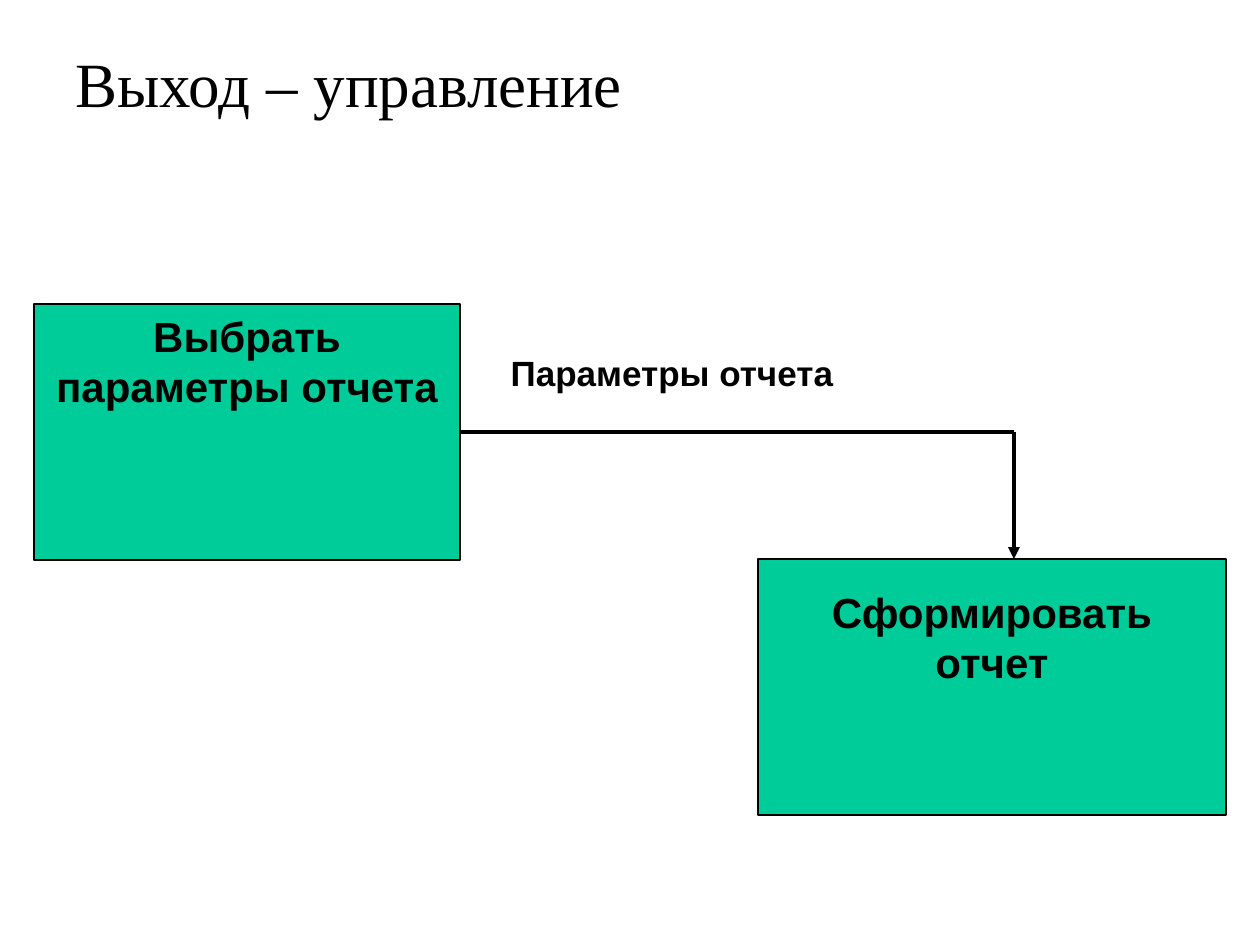
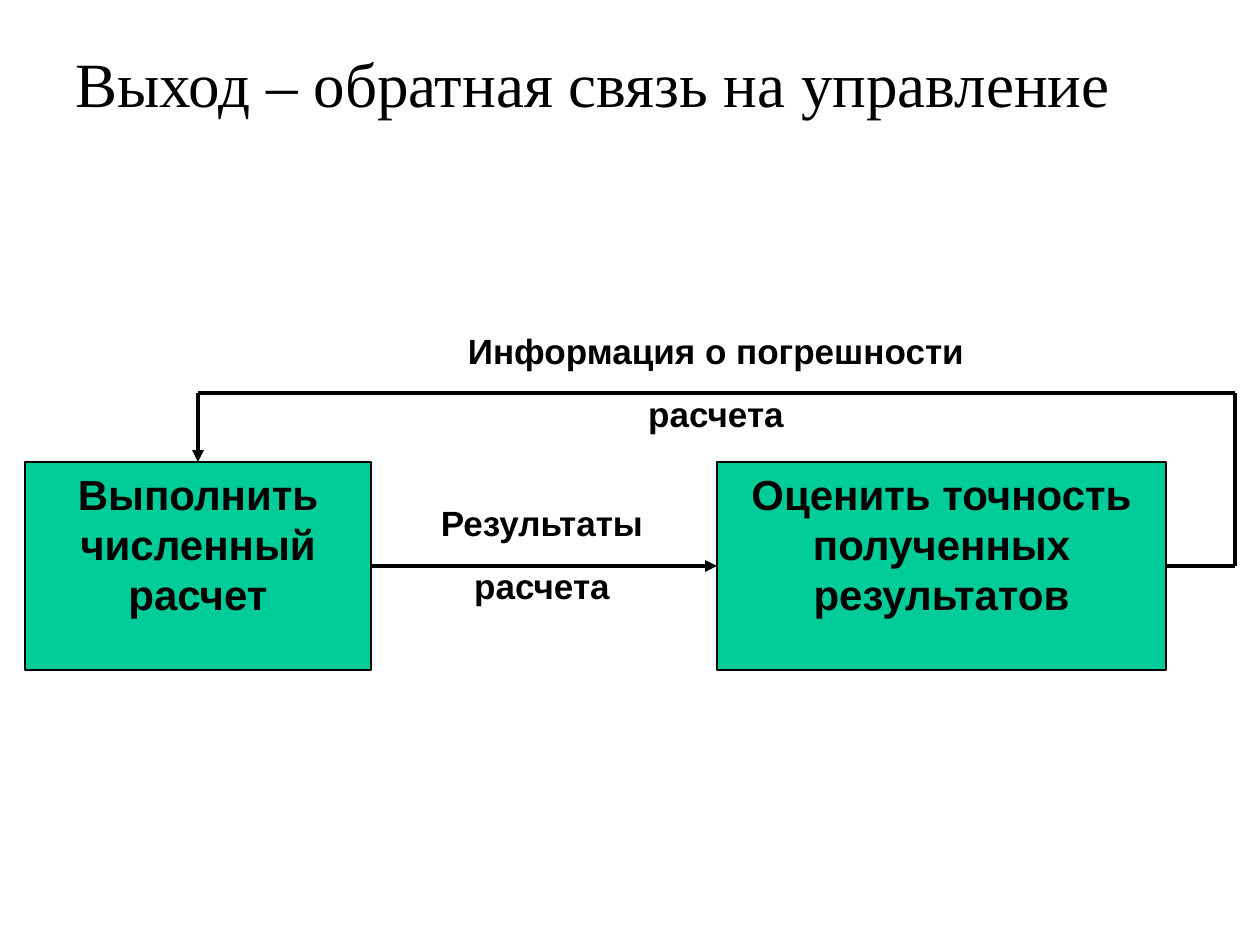
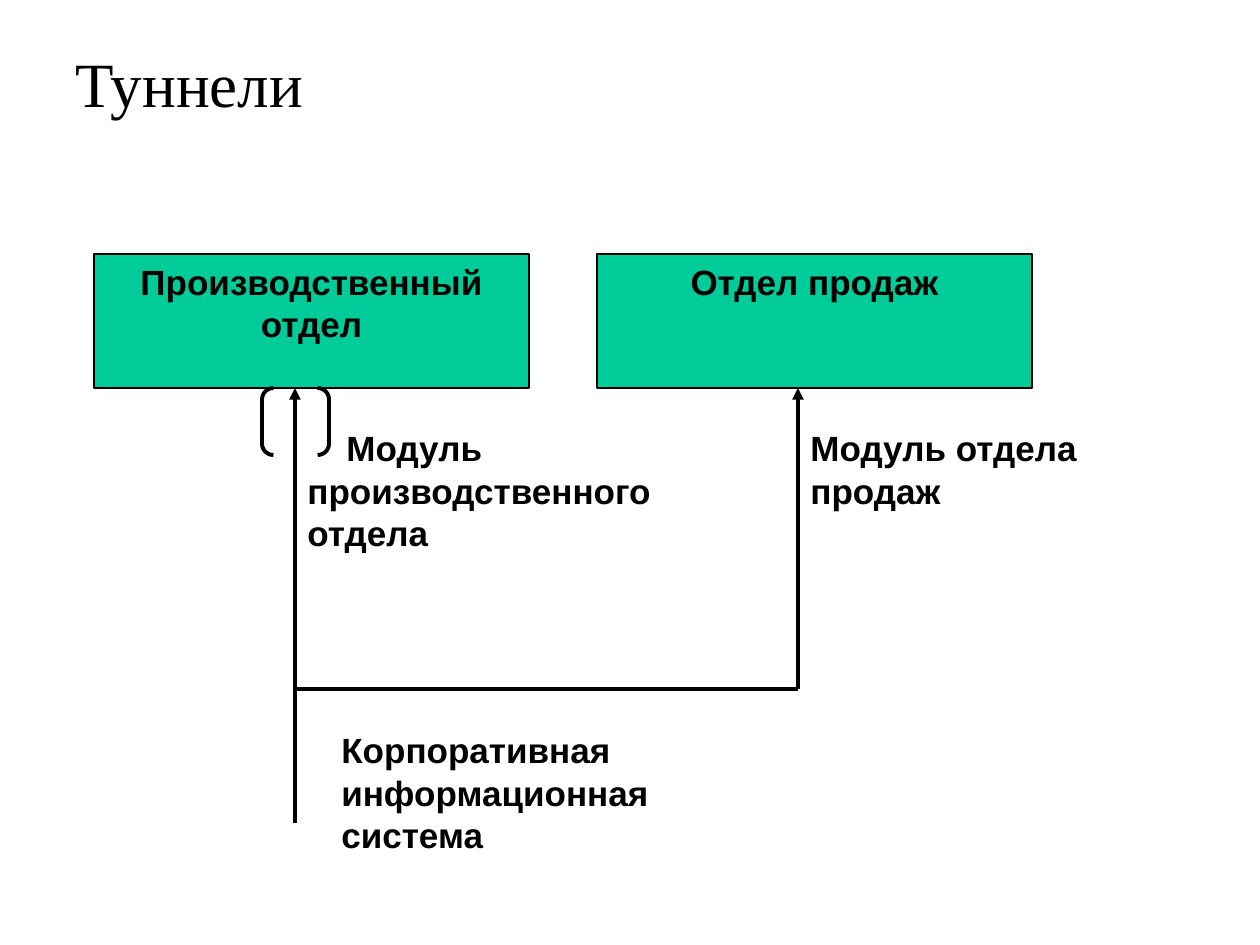
"""Build three slides on links between function blocks."""
from dataclasses import dataclass
from typing import Optional

from lxml.etree import SubElement
from pptx import Presentation
from pptx.dml.color import RGBColor
from pptx.enum.shapes import MSO_CONNECTOR, MSO_SHAPE
from pptx.enum.text import MSO_ANCHOR, MSO_AUTO_SIZE, PP_ALIGN
from pptx.oxml.ns import qn
from pptx.util import Emu, Pt

SCALE = 914400 / 126
COLORS = {"ink": "000000", "box": "00CC99", "page": "FFFFFF"}
TOP, LEFT, BOTTOM, RIGHT = range(4)
PAD = 6


@dataclass
class Box:
    text: str
    area: tuple[int, int, int, int]
    size: int = 24
    inset: int = PAD


@dataclass
class Label:
    text: str
    area: tuple[int, int, int, int]
    center: bool = True
    indent: int = 0


@dataclass
class Line:
    start: tuple[int, int]
    end: tuple[int, int]
    arrow: bool = False
    source: Optional[tuple[int, int]] = None
    target: Optional[tuple[int, int]] = None


@dataclass
class Page:
    title: str
    boxes: list[Box]
    lines: list[Line]
    labels: list[Label]
    tunnel: Optional[tuple[int, int, int, int]] = None


def px(value: int) -> Emu:
    return Emu(round(value * SCALE))


def place(area: tuple) -> list[Emu]:
    return [px(value) for value in area]


def color(name: str) -> RGBColor:
    return RGBColor.from_string(COLORS[name])


def write(frame, text: str, *, size: int, font: str = "Arial", bold: bool = True,
          center: bool = True, inset: int = PAD, indent: int = 0, gap: int = 0) -> None:
    frame.word_wrap = True
    frame.auto_size = MSO_AUTO_SIZE.NONE
    frame.vertical_anchor = MSO_ANCHOR.TOP
    frame.margin_top = px(inset)
    frame.text = text
    for index, para in enumerate(frame.paragraphs):
        para.alignment = PP_ALIGN.CENTER if center else PP_ALIGN.LEFT
        para.space_before = Pt(gap if index else 0)
        if indent:
            para._p.get_or_add_pPr().set("indent", str(px(indent)))
        for run in para.runs:
            run.font.name = font
            run.font.size = Pt(size)
            run.font.bold = bold
            run.font.color.rgb = color("ink")


def stroke(shape, width: float) -> None:
    shape.line.color.rgb = color("ink")
    shape.line.width = Pt(width)


def draw_box(slide, box: Box):
    shape = slide.shapes.add_shape(MSO_SHAPE.RECTANGLE, *place(box.area))
    shape.shadow.inherit = False
    shape.fill.solid()
    shape.fill.fore_color.rgb = color("box")
    stroke(shape, 0.75)
    write(shape.text_frame, box.text, size=box.size, inset=box.inset)
    return shape


def draw_line(slide, line: Line, boxes: list) -> None:
    link = slide.shapes.add_connector(
        MSO_CONNECTOR.STRAIGHT, *place(line.start + line.end))
    if line.source:
        link.begin_connect(boxes[line.source[0]], line.source[1])
    if line.target:
        link.end_connect(boxes[line.target[0]], line.target[1])
    stroke(link, 2.25)
    if line.arrow:
        SubElement(link.line._get_or_add_ln(), qn("a:tailEnd"), type="triangle")
    SubElement(link._element.spPr, qn("a:effectLst"))


def draw_label(slide, label: Label) -> None:
    shape = slide.shapes.add_textbox(*place(label.area))
    write(shape.text_frame, label.text, size=20, center=label.center,
          indent=label.indent, gap=12)


def draw_tunnel(slide, area: tuple) -> None:
    shape = slide.shapes.add_shape(MSO_SHAPE.DOUBLE_BRACKET, *place(area))
    shape.shadow.inherit = False
    shape.adjustments[0] = 0.17
    shape.fill.background()
    stroke(shape, 2.25)


def draw_page(deck, page: Page) -> None:
    slide = deck.slides.add_slide(deck.slide_layouts[5])
    title = slide.shapes.title
    title.left, title.top, title.width, title.height = place((63, 38, 1134, 156))
    write(title.text_frame, page.title, size=36, font="Times New Roman",
          bold=False, center=False)
    boxes = [draw_box(slide, box) for box in page.boxes]
    for line in page.lines:
        draw_line(slide, line, boxes)
    for label in page.labels:
        draw_label(slide, label)
    if page.tunnel:
        draw_tunnel(slide, page.tunnel)


PAGES = [
    Page("Выход – управление",
         [Box("Выбрать параметры отчета", (34, 304, 426, 256)),
          Box("Сформировать отчет", (758, 559, 468, 256), inset=27)],
         [Line((460, 432), (1014, 432), source=(0, RIGHT)),
          Line((1014, 432), (1014, 559), arrow=True)],
         [Label("Параметры отчета", (417, 346, 510, 128))]),
    Page("Выход – обратная связь на управление",
         [Box("Выполнить численный расчет", (25, 462, 346, 208)),
          Box("Оценить точность полученных результатов", (717, 462, 449, 208))],
         [Line((371, 566), (717, 566), True, (0, RIGHT), (1, LEFT)),
          Line((1166, 566), (1235, 566), source=(1, RIGHT)),
          Line((1235, 566), (1235, 393)),
          Line((1235, 393), (198, 393)),
          Line((198, 393), (198, 462), True, target=(0, TOP))],
         [Label("Результаты\nрасчета", (404, 496, 276, 139)),
          Label("Информация о погрешности\nрасчета", (370, 324, 692, 139))]),
    Page("Туннели",
         [Box("Производственный отдел", (94, 254, 435, 134), size=20),
          Box("Отдел продаж", (597, 254, 435, 134), size=20)],
         [Line((295, 823), (295, 388), arrow=True),
          Line((295, 689), (798, 689)),
          Line((798, 689), (798, 388), arrow=True)],
         [Label("Модуль производственного отдела", (295, 421, 436, 202), False, 39),
          Label("Модуль отдела продаж", (798, 421, 368, 202), False),
          Label("Корпоративная информационная система", (329, 723, 402, 202), False)],
         tunnel=(262, 388, 67, 67)),
]


def main() -> None:
    deck = Presentation()
    deck.slide_width, deck.slide_height = px(1260), px(945)
    fill = deck.slide_master.background.fill
    fill.solid()
    fill.fore_color.rgb = color("page")
    for page in PAGES:
        draw_page(deck, page)
    deck.save("out.pptx")


if __name__ == "__main__":
    main()
